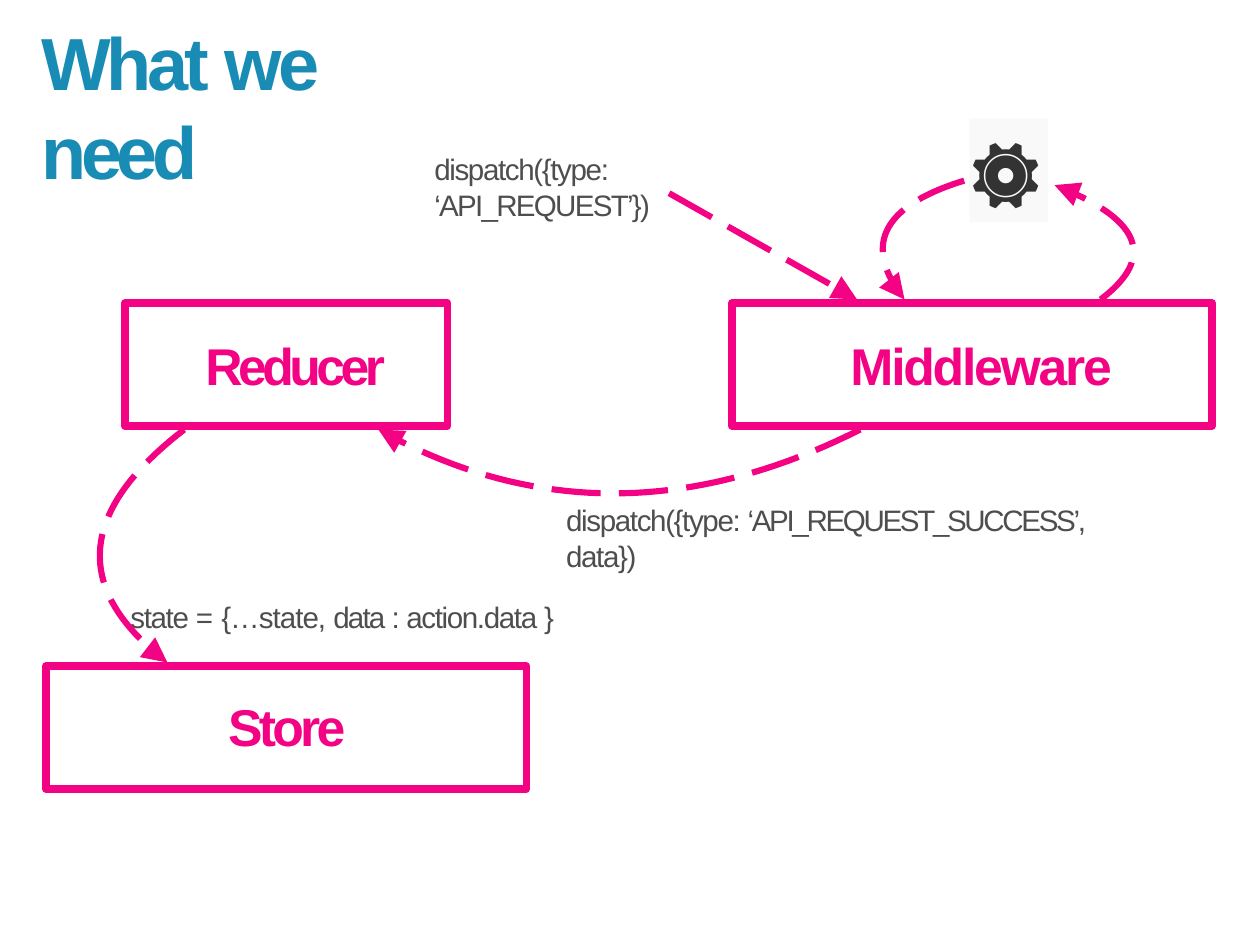
import math
from dataclasses import dataclass

import lxml.etree
import pptx
import pptx.dml.color
import pptx.enum.dml
import pptx.enum.shapes
import pptx.enum.text
import pptx.oxml.ns
import pptx.util

Cm = pptx.util.Cm
Pt = pptx.util.Pt
RGBColor = pptx.dml.color.RGBColor
Align = pptx.enum.text.PP_ALIGN

PINK = RGBColor(0xF3, 0x02, 0x84)
BLUE = RGBColor(0x19, 0x8C, 0xB5)
GREY = RGBColor(0x4E, 0x4E, 0x4E)
DARK = RGBColor(0x33, 0x33, 0x33)
PALE = RGBColor(0xF9, 0xF9, 0xF9)
STEPS = 40
LENGTH = 0.72
HALF = 0.36
GAP = 0.63

Spot = tuple[float, float]
Area = tuple[float, float, float, float]


@dataclass
class Style:
    size: float
    color: RGBColor
    bold: bool = False
    face: str = "Arial"


@dataclass
class Para:
    runs: list[tuple[str, float]]
    indent: float = 0.03
    before: float = 0
    align: Align = Align.LEFT


@dataclass
class Box:
    area: Area
    para: Para
    top: float


@dataclass
class Label:
    area: Area
    paras: list[Para]


@dataclass
class Curve:
    start: Spot
    bend: Spot
    end: Spot


TITLE = Style(60, BLUE, True)
NAME = Style(42, PINK, True)
CODE = Style(24, GREY)
ICON = Style(64, DARK, face="Open Sans")

BOXES = [
    Box((3.58, 8.69, 9.25, 3.53), Para([("Reducer", -3.7)], 2.31), 0.89),
    Box((1.32, 19.1, 13.77, 3.53), Para([("Store", -3)], align=Align.CENTER), 0.83),
    Box((20.98, 8.69, 13.77, 3.53), Para([("Middleware", -1.8)], 3.4), 0.89),
]
LABELS = [
    Label((12.42, 4.29, 11.2, 1.09), [
        Para([("dispatch({type: ", -1.1), ("‘API_REQUEST’})", -1.4)]),
    ]),
    Label((3.71, 14.35, 29.44, 2.84), [
        Para([("dispatch({type: ", -1.1), ("‘API_REQUEST_SUCCESS’, ", -1.9),
              ("data})", -1.1)], 12.52),
        Para([("state ", -1.1), ("= ", 0), ("{…state, ", -0.8), ("data ", -1.5),
              (": ", -1.4), ("action.data ", -1.1), ("}", -0.1)], before=21.2),
    ]),
]
CURVES = [
    Curve((31.55, 8.59), (33.96, 6.77), (30.23, 5.31)),
    Curve((27.64, 5.18), (24.1, 6.27), (25.93, 8.59)),
    Curve((5.28, 12.32), (0.7, 15.85), (4.8, 19)),
    Curve((24.66, 12.32), (17.4, 15.98), (10.85, 12.32)),
]


def place(area: Area) -> list[int]:
    return [Cm(n) for n in area]


def write(shape, paras: list[Para], style: Style, top: float = 0.05) -> None:
    frame = shape.text_frame
    frame.word_wrap = True
    frame.vertical_anchor = pptx.enum.text.MSO_ANCHOR.TOP
    frame.margin_left = frame.margin_right = frame.margin_bottom = 0
    frame.margin_top = Cm(top)
    for i, para in enumerate(paras):
        line = frame.add_paragraph() if i else frame.paragraphs[0]
        line.alignment = para.align
        line.space_before = Pt(para.before)
        line._p.get_or_add_pPr().set("marL", str(Cm(para.indent)))
        for text, gap in para.runs:
            run = line.add_run()
            run.text = text
            run.font.name = style.face
            run.font.size = Pt(style.size)
            run.font.bold = style.bold
            run.font.color.rgb = style.color
            run._r.get_or_add_rPr().set("spc", str(round(gap * 100)))


def draw_rect(slide, area: Area):
    kind = pptx.enum.shapes.MSO_SHAPE.RECTANGLE
    rect = slide.shapes.add_shape(kind, *place(area))
    rect.shadow.inherit = False
    return rect


def draw_box(slide, box: Box) -> None:
    rect = draw_rect(slide, box.area)
    rect.fill.background()
    rect.line.color.rgb = PINK
    rect.line.width = Pt(6)
    write(rect, [box.para], NAME, box.top)


def draw_gear(slide) -> None:
    rect = draw_rect(slide, (27.79, 3.4, 2.26, 2.97))
    rect.fill.solid()
    rect.fill.fore_color.rgb = PALE
    rect.line.fill.background()
    write(rect, [Para([("⚙", 3.5)], 0)], ICON, 0.03)


def dash(line) -> None:
    line.color.rgb = PINK
    line.width = Pt(5)
    line.dash_style = pptx.enum.dml.MSO_LINE.LONG_DASH


def trace(slide, spots: list[Spot], close: bool):
    dots = [(Cm(x), Cm(y)) for x, y in spots]
    pen = slide.shapes.build_freeform(*dots[0])
    pen.add_line_segments(dots[1:], close=close)
    shape = pen.convert_to_shape()
    shape.shadow.inherit = False
    return shape


def draw_head(slide, tail: Spot, tip: Spot) -> None:
    span = math.dist(tail, tip)
    dx, dy = (tip[0] - tail[0]) / span, (tip[1] - tail[1]) / span
    x, y = tip[0] - LENGTH * dx, tip[1] - LENGTH * dy
    wings = [(x + side * dy, y - side * dx) for side in (HALF, -HALF)]
    head = trace(slide, [*wings, tip], True)
    head.fill.solid()
    head.fill.fore_color.rgb = PINK
    head.line.fill.background()


def blend(curve: Curve, t: float) -> Spot:
    x, y = ((1 - t) ** 2 * a + 2 * t * (1 - t) * b + t * t * c
            for a, b, c in zip(curve.start, curve.bend, curve.end))
    return x, y


def draw_curve(slide, curve: Curve) -> None:
    stop = 1 - GAP / (2 * math.dist(curve.bend, curve.end))
    arc = trace(slide, [blend(curve, stop * i / STEPS) for i in range(STEPS + 1)], False)
    arc.fill.background()
    dash(arc.line)
    draw_head(slide, curve.bend, curve.end)


def draw_arrow(slide, start: Spot, end: Spot) -> None:
    part = 1 - GAP / math.dist(start, end)
    stop = tuple(a + part * (b - a) for a, b in zip(start, end))
    kind = pptx.enum.shapes.MSO_CONNECTOR.STRAIGHT
    arrow = slide.shapes.add_connector(kind, *(Cm(n) for n in start + stop))
    dash(arrow.line)
    lxml.etree.SubElement(arrow._element.spPr, pptx.oxml.ns.qn("a:effectLst"))
    draw_head(slide, start, end)


def main() -> None:
    deck = pptx.Presentation()
    deck.slide_width, deck.slide_height = Cm(36.12), Cm(27.1)
    slide = deck.slides.add_slide(deck.slide_layouts[5])
    title = slide.shapes.title
    title.left, title.top, title.width, title.height = place((1.17, 0.43, 12.12, 2.62))
    write(title, [Para([("What ", -3.7), ("we ", -2.9), ("need", -4.5)])], TITLE)
    for label in LABELS:
        write(slide.shapes.add_textbox(*place(label.area)), label.paras, CODE)
    for box in BOXES:
        draw_box(slide, box)
    draw_gear(slide)
    for curve in CURVES:
        draw_curve(slide, curve)
    draw_arrow(slide, (19.18, 5.54), (24.57, 8.59))
    deck.save("out.pptx")


if __name__ == "__main__":
    main()
